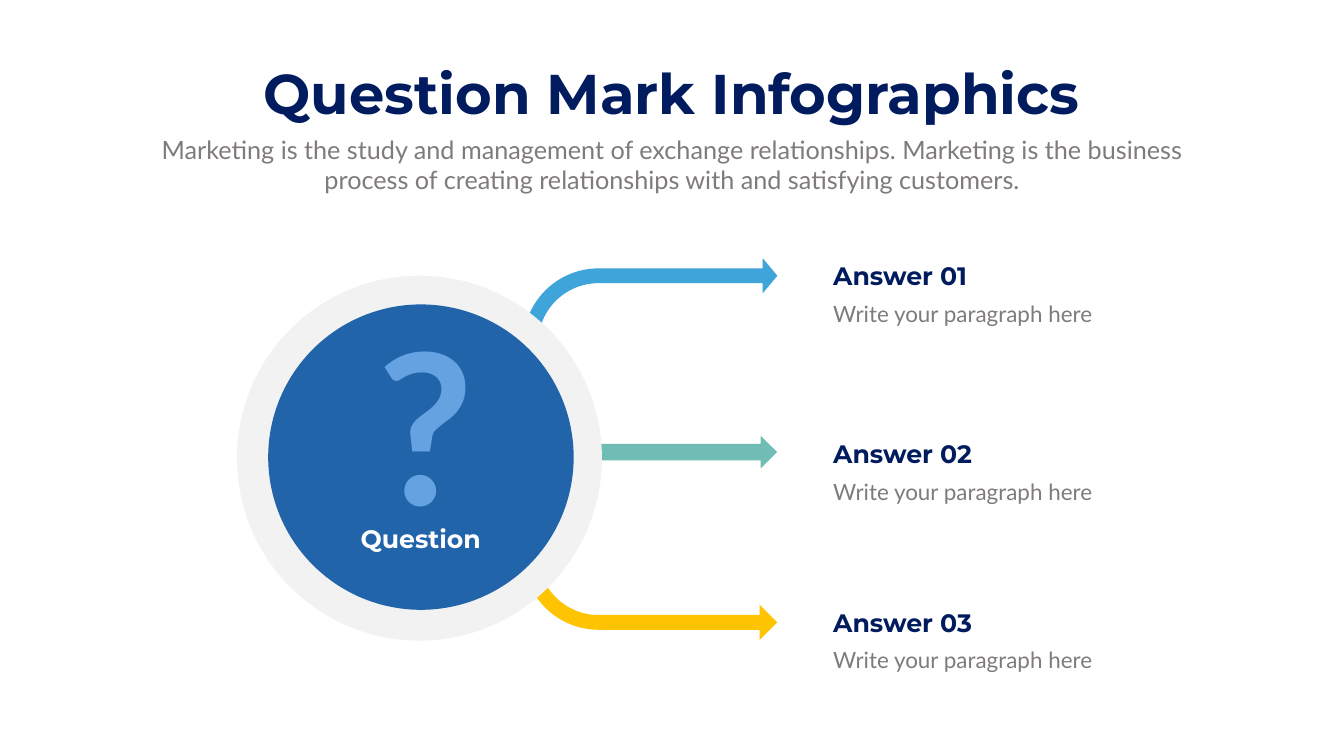
from pptx import Presentation
from pptx.dml.color import RGBColor
from pptx.enum.shapes import MSO_SHAPE
from pptx.enum.text import MSO_ANCHOR, MSO_AUTO_SIZE, PP_ALIGN
from pptx.oxml.ns import qn
from pptx.util import Pt

PX = 9144  # EMU per px, 100 px to the inch

NAVY = RGBColor(0x00, 0x1C, 0x5E)
GRAY = RGBColor(0x7F, 0x7A, 0x7E)
PALE = RGBColor(0xF2, 0xF2, 0xF2)
BLUE = RGBColor(0x21, 0x64, 0xAA)
LIGHT_BLUE = RGBColor(0x65, 0xA2, 0xE1)
SKY = RGBColor(0x3E, 0xA4, 0xD9)
TEAL = RGBColor(0x70, 0xBD, 0xB6)
YELLOW = RGBColor(0xFE, 0xC4, 0x02)
WHITE = RGBColor(0xFF, 0xFF, 0xFF)

# Content
TITLE = "Question Mark Infographics"
SUBTITLE = ("Marketing is the study and management of exchange relationships. "
            "Marketing is the business process of creating relationships with "
            "and satisfying customers.")
QUESTION = "Question"
ANSWERS = [  # heading, detail, top
    ("Answer 01", "Write your paragraph here", 512),
    ("Answer 02", "Write your paragraph here", 865),
    ("Answer 03", "Write your paragraph here", 1200),
]
ARROWS = [  # preset, box, colour, adjustments, rotation, mirrored
    (MSO_SHAPE.DOWN_ARROW, (1281, 669, 65, 456), TEAL, (), 270, False),
    (MSO_SHAPE.BENT_ARROW, (1038, 929, 504, 341), YELLOW,
     (0.086, 0.103, 0.103, 0.438), 180, True),
    (MSO_SHAPE.BENT_ARROW, (1038, 512, 504, 341), SKY,
     (0.086, 0.103, 0.086, 0.438), 0, False),
]
DISCS = [((470, 547, 724, 724), PALE), ((532, 604, 606, 606), BLUE)]
ANSWER_LEFT, DETAIL_OFFSET = 1643, 78


def emu(box):
    return [length * PX for length in box]


def add_preset(preset, box, color):
    shape = slide.shapes.add_shape(preset, *emu(box))
    shape.shadow.inherit = False
    shape.fill.solid()
    shape.fill.fore_color.rgb = color
    shape.line.fill.background()
    return shape


def write(text, box, *, size, color, font="Lato", bold=False,
          align=PP_ALIGN.LEFT, wrap=True, holder=None):
    holder = holder or slide.shapes.add_textbox(*emu(box))
    holder.left, holder.top, holder.width, holder.height = emu(box)
    frame = holder.text_frame
    frame.word_wrap = wrap
    frame.auto_size = MSO_AUTO_SIZE.SHAPE_TO_FIT_TEXT
    frame.vertical_anchor = MSO_ANCHOR.TOP
    paragraph = frame.paragraphs[0]
    paragraph.alignment = align
    run = paragraph.add_run()
    run.text = text
    run.font.name = font
    run.font.size = Pt(size)
    run.font.bold = bold
    run.font.color.rgb = color


presentation = Presentation()
presentation.slide_width, presentation.slide_height = emu((2666, 1500))
slide = presentation.slides.add_slide(presentation.slide_layouts[5])

heading = dict(font="Montserrat", bold=True)
centered = dict(align=PP_ALIGN.CENTER)

# Arrows, partly behind the discs
for preset, box, color, adjustments, rotation, mirrored in ARROWS:
    arrow = add_preset(preset, box, color)
    for index, value in enumerate(adjustments):
        arrow.adjustments[index] = value
    arrow.rotation = rotation
    if mirrored:
        arrow._element.spPr.find(qn("a:xfrm")).set("flipH", "1")

# Title and subtitle
write(TITLE, (490, 112, 1685, 145), size=80, color=NAVY, wrap=False,
      holder=slide.shapes.title, **heading, **centered)
write(SUBTITLE, (292, 261, 2082, 131), size=36, color=GRAY, **centered)

# Question discs
for box, color in DISCS:
    add_preset(MSO_SHAPE.OVAL, box, color)

# Answers
for answer, detail, top in ANSWERS:
    write(answer, (ANSWER_LEFT, top, 371, 71), size=36, color=NAVY, **heading)
    write(detail, (ANSWER_LEFT, top + DETAIL_OFFSET, 558, 64),
          size=32, color=GRAY)

# Question label and mark
write(QUESTION, (649, 1034, 371, 71), size=36, color=WHITE,
      **heading, **centered)
write("?", (739, 582, 197, 515), size=300, color=LIGHT_BLUE, bold=True,
      wrap=False, **centered)

presentation.save("out.pptx")
